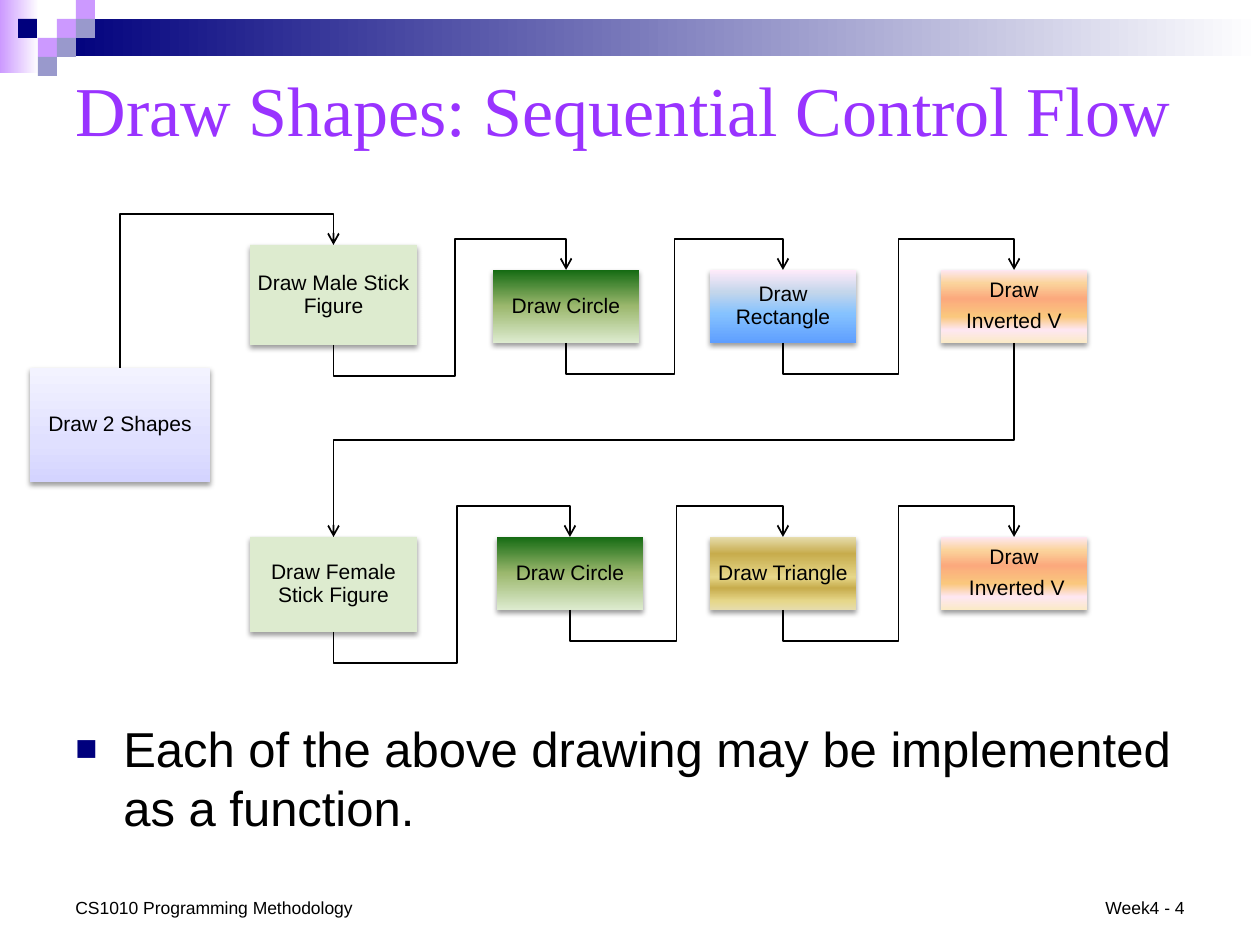
"""Build the sequential control flow slide for the Draw Shapes example."""
from dataclasses import dataclass
from itertools import pairwise

from pptx import Presentation
from pptx.dml.color import RGBColor
from pptx.enum.shapes import MSO_CONNECTOR as Link, MSO_SHAPE as Preset
from pptx.enum.text import MSO_ANCHOR as Anchor, MSO_AUTO_SIZE as AutoSize, PP_ALIGN as Align
from pptx.oxml.ns import qn
from pptx.util import Pt
from lxml.etree import SubElement

PX = 914400 / 126
STUB = 31
BLACK, NAVY, LILAC, SLATE = "000000", "00007D", "CC99FF", "9999CC"
GREEN = [(0, "DDEBCF")]
LAVENDER = [(0, "D4D4FF"), (35, "E0E0FF"), (100, "F3F3FF")]
FOREST = [(0, "DDEBCF"), (50, "9CB86E"), (100, "156B13")]
SKY = [(0, "5E9EFF"), (40, "85C2FF"), (70, "C4D6EB"), (100, "FFEBFA")]
GOLD = [(0, "E6DCAC"), (12, "E6D78A"), (30, "C7AC4C"), (45, "E6D78A"), (77, "C7AC4C"), (100, "E6DCAC")]
PEACH = [(0, "FBEAC7"), (18, "FEE7F2"), (36, "FAC77D"), (61, "FBA97D"), (82, "FBD49C"), (100, "FEE7F2")]


@dataclass(frozen=True)
class Box:
    left: int
    top: int
    width: int
    height: int

    @property
    def middle(self) -> float:
        return self.left + self.width / 2

    @property
    def right(self) -> int:
        return self.left + self.width

    @property
    def bottom(self) -> int:
        return self.top + self.height

    def emu(self) -> list[int]:
        return [emu(value) for value in (self.left, self.top, self.width, self.height)]


@dataclass(frozen=True)
class Step:
    box: Box
    lines: tuple[str, ...]
    stops: list


START = Step(Box(30, 368, 180, 114), ("Draw 2 Shapes",), LAVENDER)
MALE_ROW = [
    Step(Box(250, 245, 167, 100), ("Draw Male Stick Figure",), GREEN),
    Step(Box(493, 270, 146, 73), ("Draw Circle",), FOREST),
    Step(Box(710, 270, 146, 73), ("Draw Rectangle",), SKY),
    Step(Box(941, 270, 146, 73), ("Draw", "Inverted V"), PEACH),
]
FEMALE_ROW = [
    Step(Box(250, 537, 167, 95), ("Draw Female Stick Figure",), GREEN),
    Step(Box(497, 537, 146, 73), ("Draw Circle",), FOREST),
    Step(Box(710, 537, 146, 73), ("Draw Triangle",), GOLD),
    Step(Box(941, 537, 146, 73), ("Draw", " Inverted V"), PEACH),
]
BANDS = [
    (Box(0, 0, 39, 73), [(0, LILAC), (100, "FFFFFF")]),
    (Box(57, 19, 1203, 37), [(0, NAVY), (100, "FFFFFF")]),
]
SQUARES = [(57, 19, LILAC), (76, 0, LILAC), (76, 19, SLATE), (38, 38, LILAC),
           (18, 19, NAVY), (57, 38, SLATE), (38, 57, SLATE)]


def emu(pixels: float) -> int:
    """Turn pixels into EMU."""
    return round(pixels * PX)


def color(value: str) -> RGBColor:
    """Return the colour for a hex string."""
    return RGBColor.from_string(value)


def apply(target, values: dict) -> None:
    """Set every attribute named in a dict of format values."""
    for name, value in values.items():
        setattr(target, name, value)


def write(frame, lines, size, frame_format=None, paragraph_format=None, font="Arial", ink=BLACK) -> None:
    """Fill a text frame with equally formatted paragraphs."""
    apply(frame, {"word_wrap": True, "auto_size": AutoSize.NONE, **(frame_format or {})})
    for index, line in enumerate(lines):
        paragraph = frame.add_paragraph() if index else frame.paragraphs[0]
        paragraph.text = line
        apply(paragraph, paragraph_format or {})
        apply(paragraph.font, {"size": Pt(size), "name": font})
        paragraph.font.color.rgb = color(ink)


def add_block(slide, box: Box, stops: list, angle: int = 0):
    """Add a borderless rectangle with a solid or gradient fill."""
    shape = slide.shapes.add_shape(Preset.RECTANGLE, *box.emu())
    shape.shadow.inherit = False
    shape.line.fill.background()
    if len(stops) == 1:
        shape.fill.solid()
        shape.fill.fore_color.rgb = color(stops[0][1])
        return shape
    shape.fill.gradient()
    shape.fill.gradient_angle = angle
    stop_list = shape._element.spPr.find(qn("a:gradFill")).find(qn("a:gsLst"))
    stop_list.clear()
    for position, value in stops:
        stop = SubElement(stop_list, qn("a:gs"), pos=str(position * 1000))
        SubElement(stop, qn("a:srgbClr"), val=value)
    return shape


def add_step(slide, step: Step):
    """Add one shadowed step with its centred label."""
    shape = add_block(slide, step.box, step.stops, 90)
    effects = shape._element.spPr.find(qn("a:effectLst"))
    shadow = SubElement(effects, qn("a:outerShdw"), blurRad=str(Pt(3.1)), dist=str(Pt(1.6)),
                        dir="5400000", rotWithShape="0")
    shade = SubElement(shadow, qn("a:srgbClr"), val=BLACK)
    SubElement(shade, qn("a:alpha"), val="38000")
    margins = {f"margin_{side}": emu(1) for side in ("left", "top", "right", "bottom")}
    write(shape.text_frame, step.lines, 12, {"vertical_anchor": Anchor.MIDDLE, **margins},
          {"alignment": Align.CENTER, "line_spacing": 0.9, "space_after": Pt(4.8)})
    return shape


def add_elbow(slide, shapes: dict, source: Step, target: Step, start_side: int, adjustments: list) -> None:
    """Join two steps with a bent arrow that enters the target from above."""
    start_x, end_x, end_y = source.box.middle, target.box.middle, target.box.top
    start_y = source.box.bottom if start_side == 2 else source.box.top
    connector = slide.shapes.add_connector(Link.ELBOW, 0, 0, 0, 0)
    connector.begin_connect(shapes[source.box], start_side)
    connector.end_connect(shapes[target.box], 0)
    width, height = abs(end_y - start_y), abs(end_x - start_x)
    apply(connector, {"left": emu((start_x + end_x - width) / 2), "top": emu((start_y + end_y - height) / 2),
                      "width": emu(width), "height": emu(height)})
    properties = connector._element.spPr
    flip = "1" if end_y < start_y else "0"
    for name, value in {"rot": "5400000", "flipH": flip, "flipV": flip}.items():
        properties.find(qn("a:xfrm")).set(name, value)
    geometry = properties.find(qn("a:prstGeom"))
    geometry.set("prst", f"bentConnector{len(adjustments) + 2}")
    guides = geometry.find(qn("a:avLst"))
    for index, value in enumerate(adjustments, 1):
        SubElement(guides, qn("a:gd"), name=f"adj{index}", fmla=f"val {round(value * 100000)}")
    connector.line.color.rgb = color(BLACK)
    connector.line.width = Pt(1)
    SubElement(properties.find(qn("a:ln")), qn("a:tailEnd"), type="arrow")
    SubElement(properties, qn("a:effectLst"))


def add_row_arrows(slide, shapes: dict, row: list[Step]) -> None:
    """Join the steps of a row through the middle of each gap."""
    for source, target in pairwise(row):
        rise = source.box.bottom - target.box.top
        gap_middle = (source.box.right + target.box.left) / 2
        across = (gap_middle - source.box.middle) / (target.box.middle - source.box.middle)
        add_elbow(slide, shapes, source, target, 2, [-STUB / rise, across, 1 + STUB / rise])


def add_text(slide, box: Box, line: str, size: int, frame_format=None, paragraph_format=None):
    """Add a text box with one paragraph and return that paragraph."""
    frame = slide.shapes.add_textbox(*box.emu()).text_frame
    write(frame, [line], size, frame_format, paragraph_format)
    return frame.paragraphs[0]


def add_bullet(paragraph) -> None:
    """Give a paragraph a hanging square bullet."""
    properties = paragraph._p.get_or_add_pPr()
    properties.set("marL", str(emu(48)))
    properties.set("indent", str(emu(-48)))
    SubElement(SubElement(properties, qn("a:buClr")), qn("a:srgbClr"), val=NAVY)
    SubElement(properties, qn("a:buSzPct"), val="75000")
    SubElement(properties, qn("a:buFont"), typeface="Arial")
    SubElement(properties, qn("a:buChar"), char="■")
    for default in properties.findall(qn("a:defRPr")):
        properties.append(default)


def main() -> None:
    """Build and save the slide."""
    presentation = Presentation()
    apply(presentation, {"slide_width": emu(1260), "slide_height": emu(945)})
    slide = presentation.slides.add_slide(presentation.slide_layouts[5])
    for box, stops in BANDS:
        add_block(slide, box, stops)
    for left, top, fill in SQUARES:
        add_block(slide, Box(left, top, 19, 19), [(0, fill)])
    title = slide.shapes.title
    apply(title, dict(zip(("left", "top", "width", "height"), Box(63, 53, 1134, 111).emu())))
    write(title.text_frame, ["Draw Shapes: Sequential Control Flow"], 40,
          {"vertical_anchor": Anchor.MIDDLE}, {"alignment": Align.LEFT}, "Times New Roman", "9933FF")
    shapes = {step.box: add_step(slide, step) for step in [START, *MALE_ROW, *FEMALE_ROW]}
    rise = START.box.top - MALE_ROW[0].box.top
    add_elbow(slide, shapes, START, MALE_ROW[0], 0, [1 + STUB / rise])
    add_elbow(slide, shapes, MALE_ROW[-1], FEMALE_ROW[0], 2, [0.5])
    for row in (MALE_ROW, FEMALE_ROW):
        add_row_arrows(slide, shapes, row)
    add_bullet(add_text(slide, Box(63, 712, 1134, 131),
                        "Each of the above drawing may be implemented as a function.", 28))
    bottom = {"vertical_anchor": Anchor.BOTTOM}
    add_text(slide, Box(63, 890, 305, 34), "CS1010 Programming Methodology", 10, bottom)
    add_text(slide, Box(1091, 890, 106, 34), "Week4 - 4", 10, {**bottom, "word_wrap": False},
             {"alignment": Align.RIGHT})
    presentation.save("out.pptx")


if __name__ == "__main__":
    main()
